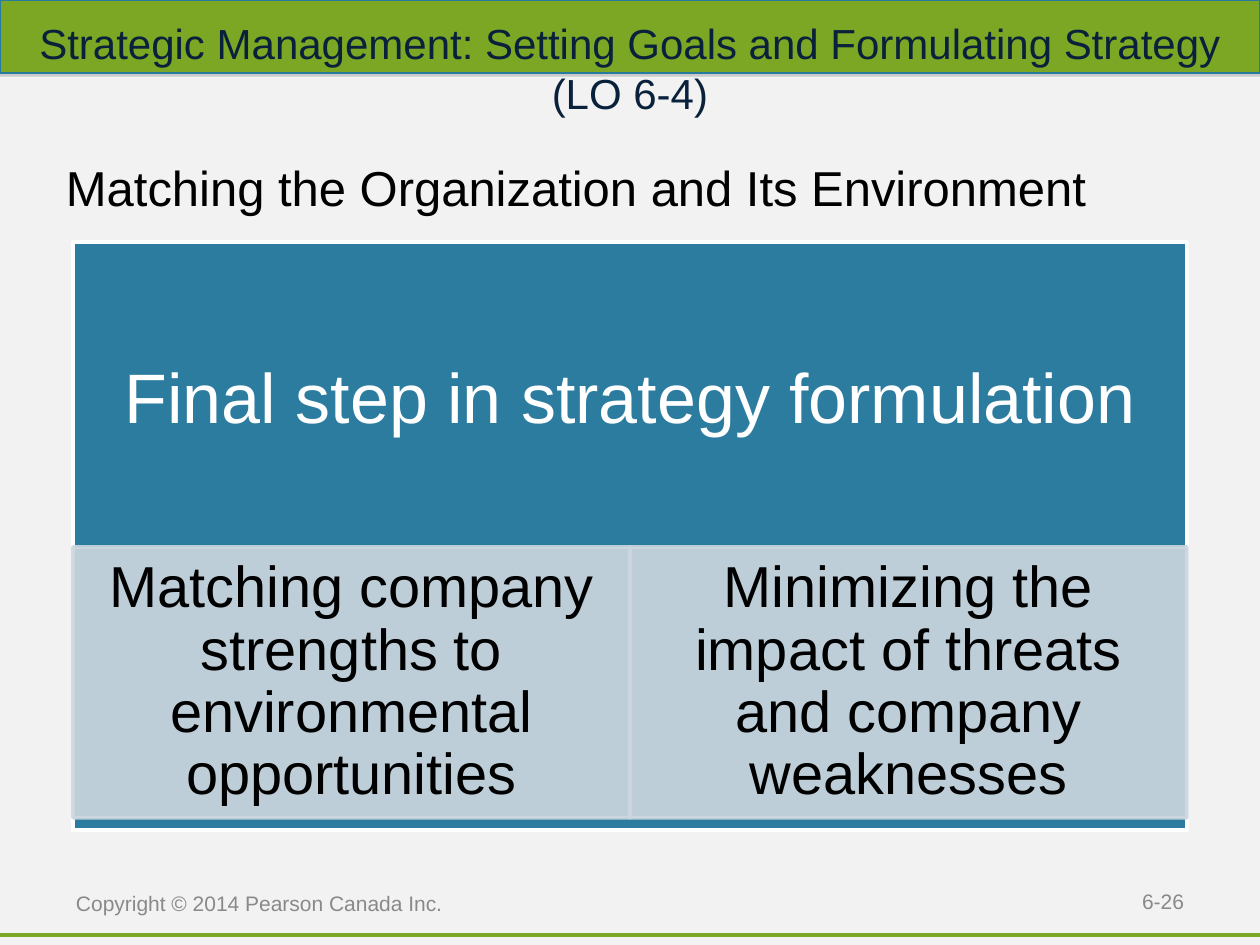
from lxml import etree
from pptx import Presentation
from pptx.dml.color import RGBColor
from pptx.enum.shapes import MSO_CONNECTOR, MSO_SHAPE
from pptx.enum.text import MSO_ANCHOR, PP_ALIGN
from pptx.oxml import parse_xml
from pptx.oxml.ns import nsdecls, qn
from pptx.util import Emu, Pt

SCALE = 914400 / 126  # EMU per px
WIDTH, HEIGHT = 1260, 945

BACKGROUND = RGBColor(0xF2, 0xF2, 0xF2)
GREEN = RGBColor(0x7C, 0xA7, 0x24)
HEADER_EDGE = RGBColor(0x28, 0x7A, 0x9E)
NAVY = RGBColor(0x09, 0x21, 0x3B)
BLUE = RGBColor(0x2C, 0x7C, 0x9F)
PALE_BLUE = RGBColor(0xCD, 0xD7, 0xDF)
GREY = RGBColor(0x89, 0x89, 0x89)
BLACK = RGBColor(0, 0, 0)
WHITE = RGBColor(0xFF, 0xFF, 0xFF)

LEFT, CENTER, RIGHT = PP_ALIGN.LEFT, PP_ALIGN.CENTER, PP_ALIGN.RIGHT
TOP, MIDDLE = MSO_ANCHOR.TOP, MSO_ANCHOR.MIDDLE
RECTANGLE, STRAIGHT = MSO_SHAPE.RECTANGLE, MSO_CONNECTOR.STRAIGHT


def px(*lengths):
    return [Emu(round(length * SCALE)) for length in lengths]


def write(shape, text, size, color, align, anchor, insets):
    """Fill a shape with one paragraph; insets are left, top, right, bottom in px."""
    frame = shape.text_frame
    frame.word_wrap = True
    frame.vertical_anchor = anchor
    (frame.margin_left, frame.margin_top,
     frame.margin_right, frame.margin_bottom) = px(*insets)
    paragraph = frame.paragraphs[0]
    paragraph.text = text
    paragraph.alignment = align
    paragraph.font.name = "Arial"
    paragraph.font.size = Pt(size)
    paragraph.font.color.rgb = color
    return paragraph


presentation = Presentation()
presentation.slide_width, presentation.slide_height = px(WIDTH, HEIGHT)
slide = presentation.slides.add_slide(presentation.slide_layouts[6])
slide.background.fill.solid()
slide.background.fill.fore_color.rgb = BACKGROUND
shapes = slide.shapes

# Footer rule and header band
rule = shapes.add_connector(STRAIGHT, *px(0, 935, WIDTH, 935))
rule.line.color.rgb = GREEN
rule.line.width = Pt(2)
etree.SubElement(rule._element.spPr, qn("a:effectLst"))

header = shapes.add_shape(RECTANGLE, *px(0, 0, WIDTH, 73))
header.fill.solid()
header.fill.fore_color.rgb = GREEN
header.line.color.rgb = HEADER_EDGE
header.line.width = Pt(0.75)
header._element.spPr.append(parse_xml(
    f'<a:effectLst {nsdecls("a")}><a:outerShdw dist="{Pt(1.8)}" dir="5400000">'
    '<a:srgbClr val="808080"><a:alpha val="35000"/></a:srgbClr>'
    '</a:outerShdw></a:effectLst>'))

# Title, heading and footer texts
TEXT_INSETS = (13, 6, 13, 6)
for box, text, size, color, align, anchor, insets in [
    ((0, 0, WIDTH, 136),
     "Strategic Management: Setting Goals and Formulating Strategy (LO 6-4)",
     24, NAVY, CENTER, MIDDLE, (31, 31, 31, 31)),
    ((53, 152, 1155, 90), "Matching the Organization and Its Environment",
     28, BLACK, LEFT, TOP, TEXT_INSETS),
    ((903, 876, 294, 50), "6-26", 12, GREY, RIGHT, MIDDLE, TEXT_INSETS),
    ((63, 861, 399, 84), "Copyright © 2014 Pearson Canada Inc.",
     12, GREY, LEFT, MIDDLE, TEXT_INSETS),
]:
    write(shapes.add_textbox(*px(*box)), text, size, color, align, anchor, insets)

# Main block with two panels side by side
BLOCK_LEFT, PANEL_WIDTH = 73, 557
PANEL_INSETS = (33, 6, 33, 6)
blocks = [
    ((BLOCK_LEFT, 242, 2 * PANEL_WIDTH, 588), "Final step in strategy formulation",
     40, WHITE, BLUE, WHITE, 100, (39, 39, 39, 310), 17.5),
]
for column, text in enumerate([
    "Matching company strengths to environmental opportunities",
    "Minimizing the impact of threats and company weaknesses",
]):
    box = (BLOCK_LEFT + column * PANEL_WIDTH, 547, PANEL_WIDTH, 271)
    blocks.append((box, text, 33, BLACK, PALE_BLUE, PALE_BLUE, 90, PANEL_INSETS, 14.4))

for box, text, size, color, fill, edge, opacity, insets, space_after in blocks:
    block = shapes.add_shape(RECTANGLE, *px(*box))
    block.shadow.inherit = False
    block.fill.solid()
    block.fill.fore_color.rgb = fill
    block.line.color.rgb = edge
    block.line.width = Pt(2)
    if opacity < 100:
        for tone in block._element.spPr.iter(qn("a:srgbClr")):
            etree.SubElement(tone, qn("a:alpha"), val=str(opacity * 1000))
    paragraph = write(block, text, size, color, CENTER, MIDDLE, insets)
    paragraph.line_spacing = 0.9
    paragraph.space_after = Pt(space_after)

presentation.save("out.pptx")
